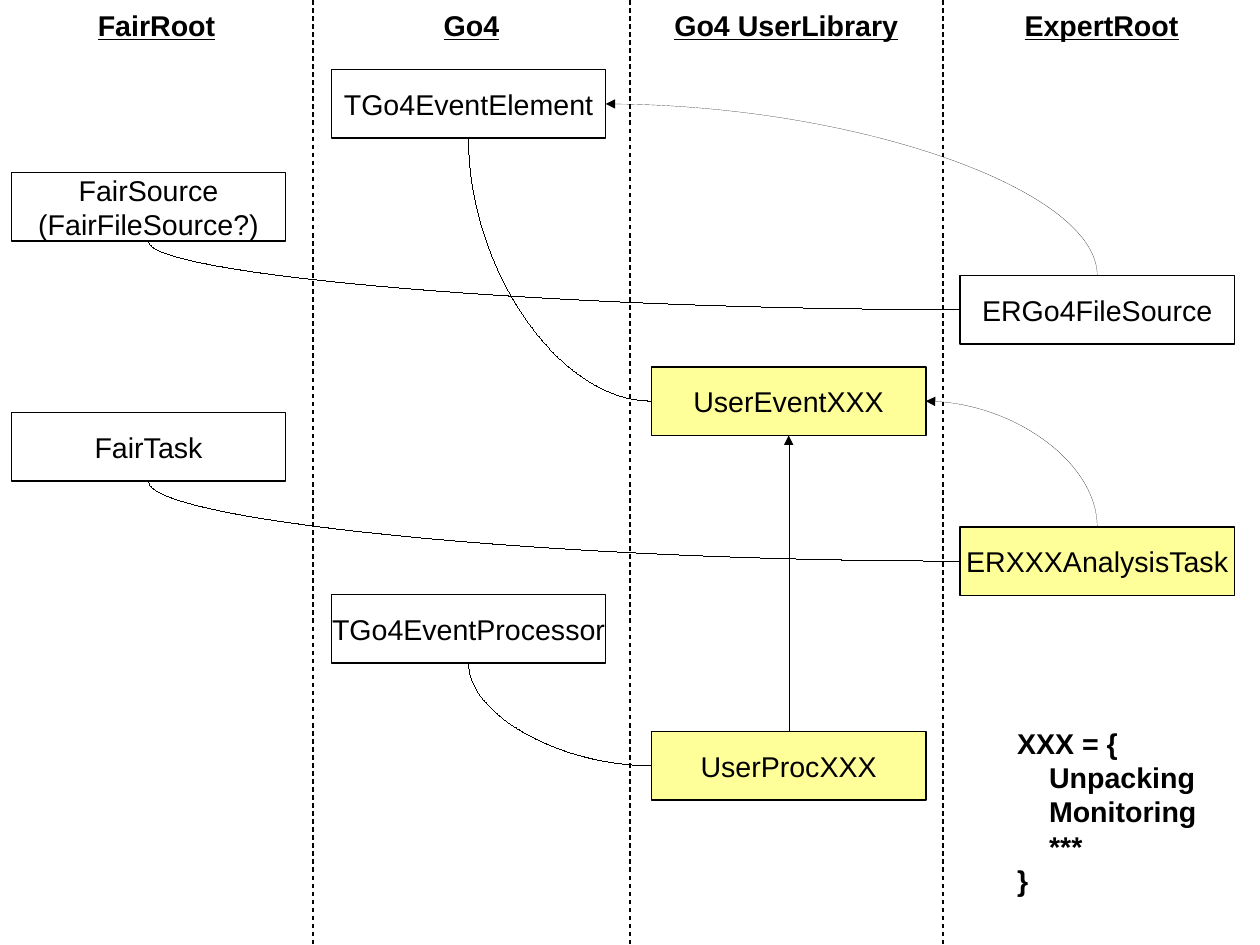
from pptx import Presentation
from pptx.dml.color import RGBColor
from pptx.enum.shapes import MSO_CONNECTOR, MSO_SHAPE
from pptx.enum.text import MSO_ANCHOR, MSO_AUTO_SIZE, PP_ALIGN
from pptx.oxml.ns import qn
from pptx.oxml.xmlchemy import OxmlElement
from pptx.util import Cm, Inches, Pt

WIDE, HIGH = Cm(28), Cm(21)
UNIT, SHIFT = 0.1, 0.01
BOX_W, BOX_H = 24 * UNIT, 6 * UNIT
INKS = {"black": "000000", "yellow": "FFFF99"}
TOP, LEFT, BASE, RIGHT = range(4)

deck = Presentation()
deck.slide_width, deck.slide_height = WIDE, HIGH
slide = deck.slides.add_slide(deck.slide_layouts[6])
shapes = slide.shapes
black = RGBColor.from_string(INKS["black"])


def write(shape, text, align=PP_ALIGN.CENTER, bold=False, under=False,
          pad=(0.1, 0.05), wrap=True, anchor=MSO_ANCHOR.TOP, inset=()):
    frame = shape.text_frame
    frame.word_wrap = wrap
    frame.auto_size = MSO_AUTO_SIZE.SHAPE_TO_FIT_TEXT if wrap else MSO_AUTO_SIZE.NONE
    frame.vertical_anchor = anchor
    frame.margin_left = frame.margin_right = Inches(pad[0])
    frame.margin_top = frame.margin_bottom = Inches(pad[1])
    for num, line in enumerate(text.split("\n")):
        para = frame.paragraphs[0] if num == 0 else frame.add_paragraph()
        para.alignment = align
        if num in inset:
            para._p.get_or_add_pPr().set("marL", str(Inches(0.28)))
        run = para.add_run()
        run.text = line
        font = run.font
        font.name, font.size = "Arial", Pt(18)
        font.bold, font.underline = bold, under
        font.color.rgb = black


def join(kind, start=(0, 0), end=(0, 0)):
    wire = shapes.add_connector(kind, *start, *end)
    wire.line.color.rgb = black
    form = wire._element.spPr
    form.append(OxmlElement("a:effectLst"))
    return wire, form, form.find(qn("a:ln"))


edges = [0, Inches(2.74), Inches(5.51), Inches(8.25), WIDE]
for x in edges[1:-1]:
    rule, form, line = join(MSO_CONNECTOR.STRAIGHT, (x, 0), (x, HIGH))
    rule.line.width = Pt(1.45)
    dash, stop = OxmlElement("a:custDash"), OxmlElement("a:ds")
    stop.set("d", "200000")
    stop.set("sp", "150000")
    dash.append(stop)
    line.append(dash)

heads = ["FairRoot", "Go4", "Go4 UserLibrary", "ExpertRoot"]
for head, x, end in zip(heads, edges, edges[1:]):
    title = shapes.add_textbox(x, Inches(0.02), end - x, Inches(0.38))
    write(title, head, bold=True, under=True)

cols = [1, 29, 57, 84]
nodes = {
    "element": ("TGo4EventElement", 1, 6, False),
    "event": ("UserEventXXX", 2, 32, True),
    "file": ("ERGo4FileSource", 3, 24, False),
    "source": ("FairSource\n(FairFileSource?)", 0, 15, False),
    "analysis": ("ERXXXAnalysisTask", 3, 46, True),
    "proc": ("UserProcXXX", 2, 63.9, True),
    "base": ("TGo4EventProcessor", 1, 51.9, False),
    "task": ("FairTask", 0, 36, False),
}
boxes = {}
for key, (text, col, row, user) in nodes.items():
    box = shapes.add_shape(MSO_SHAPE.RECTANGLE, Inches(cols[col] * UNIT),
                           Inches(row * UNIT + SHIFT), Inches(BOX_W), Inches(BOX_H))
    box.shadow.inherit = False
    box.line.color.rgb = black
    box.line.width = Pt(1)
    if user:
        box.fill.solid()
        box.fill.fore_color.rgb = RGBColor.from_string(INKS["yellow"])
    else:
        box.fill.background()
    write(box, text, pad=(0.11, 0.06), wrap=False, anchor=MSO_ANCHOR.MIDDLE)
    boxes[key] = box

links = [
    ("element", RIGHT, "file", TOP, True),
    ("event", LEFT, "element", BASE, False),
    ("file", LEFT, "source", BASE, False),
    ("event", RIGHT, "analysis", TOP, True),
    ("proc", LEFT, "base", BASE, False),
    ("event", BASE, "proc", TOP, True),
    ("analysis", LEFT, "task", BASE, False),
]
for first, side, last, face, arrow in links:
    wire, form, line = join(MSO_CONNECTOR.CURVE)
    wire.begin_connect(boxes[first], side)
    wire.end_connect(boxes[last], face)
    form.find(qn("a:prstGeom")).set("prst", "curvedConnector2")
    line.set("w", "0")
    if arrow:
        tip = OxmlElement("a:headEnd")
        tip.set("type", "triangle")
        line.append(tip)

note = shapes.add_textbox(Inches(8.8), Inches(6.3), Inches(2), Inches(1.5))
write(note, "XXX = {\nUnpacking\nMonitoring\n***\n}", align=PP_ALIGN.LEFT,
      bold=True, inset=(1, 2, 3))

deck.save("out.pptx")
